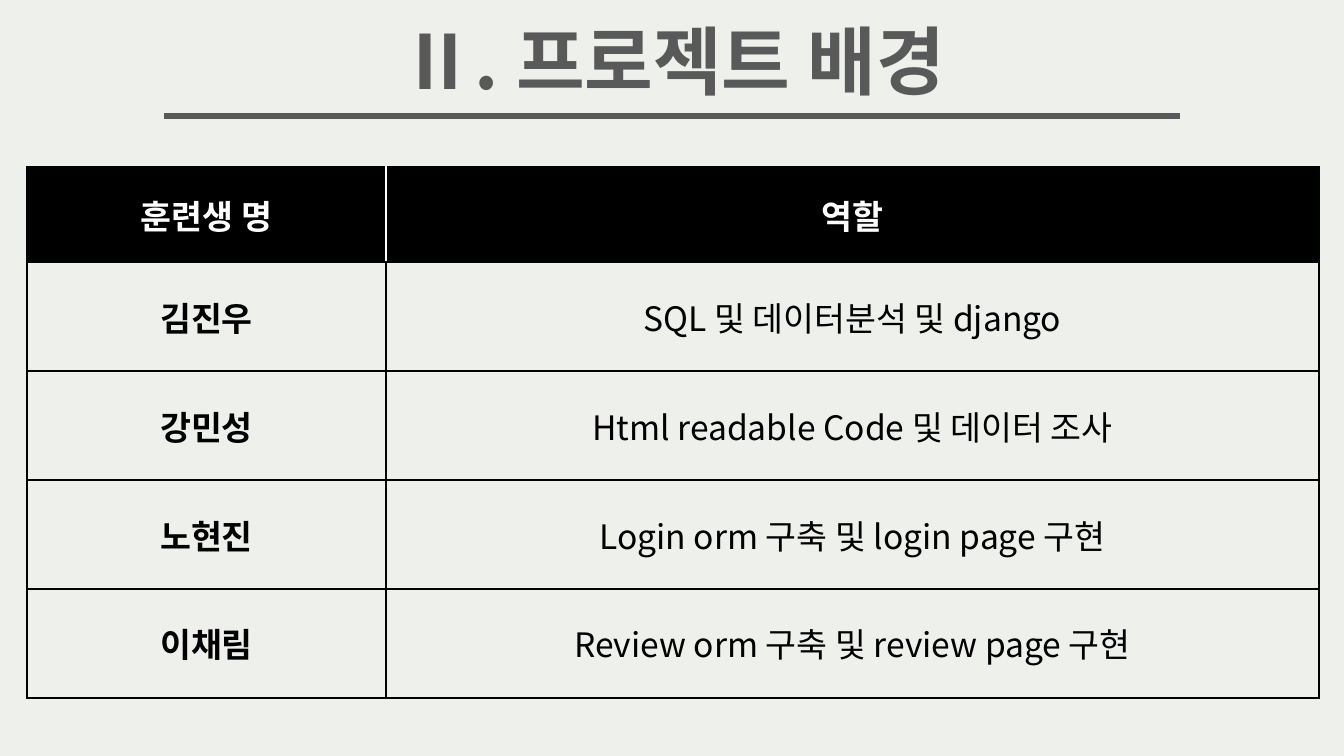
import pptx
import pptx.dml.color
import pptx.enum.shapes
import pptx.enum.text
import pptx.oxml.ns
import pptx.util
from lxml import etree

EMU_PER_PIXEL = 914400 / 134.4
FONT = "Noto Sans CJK KR"
PAPER, GRAY, BLACK, WHITE = "EEF0EC", "595959", "000000", "FFFFFF"


def px(pixels):
    return pptx.util.Emu(round(pixels * EMU_PER_PIXEL))


def color(hex_value):
    return pptx.dml.color.RGBColor.from_string(hex_value)


def add_xml(parent, tag, **attributes):
    return etree.SubElement(parent, pptx.oxml.ns.qn(tag), attributes)


class SlideBuilder:
    def __init__(self, slide):
        self.slide = slide
        slide.background.fill.solid()
        slide.background.fill.fore_color.rgb = color(PAPER)

    def set_text(self, frame, text, size, hex_value, bold):
        paragraph = frame.paragraphs[0]
        paragraph.text = text
        paragraph.alignment = pptx.enum.text.PP_ALIGN.CENTER
        font = paragraph.font
        font.size, font.bold, font.name = pptx.util.Pt(size), bold, FONT
        font.color.rgb = color(hex_value)
        # Korean glyphs take the East Asian typeface
        properties = paragraph._p.pPr.find(pptx.oxml.ns.qn("a:defRPr"))
        add_xml(properties, "a:ea", typeface=FONT)

    def title(self, text, left, top, width, height):
        box = self.slide.shapes.add_textbox(px(left), px(top), px(width), px(height))
        box.text_frame.word_wrap = True
        box.text_frame.auto_size = pptx.enum.text.MSO_AUTO_SIZE.SHAPE_TO_FIT_TEXT
        self.set_text(box.text_frame, text, 40, GRAY, True)

    def rule(self, left, right, y):
        line = self.slide.shapes.add_connector(
            pptx.enum.shapes.MSO_CONNECTOR.STRAIGHT, px(left), px(y), px(right), px(y))
        line.line.color.rgb = color(GRAY)
        line.line.width = pptx.util.Pt(3)
        add_xml(line._element.spPr, "a:effectLst")

    def borders(self, cell, left, right):
        properties = cell._tc.get_or_add_tcPr()
        sides = {"a:lnL": left, "a:lnR": right, "a:lnT": BLACK, "a:lnB": BLACK}
        for index, (tag, hex_value) in enumerate(sides.items()):
            border = add_xml(properties, tag, w=str(pptx.util.Pt(1)))
            add_xml(add_xml(border, "a:solidFill"), "a:srgbClr", val=hex_value)
            properties.insert(index, border)

    def table(self, rows, left, top, widths, heights):
        table = self.slide.shapes.add_table(
            len(rows), len(widths), px(left), px(top),
            px(sum(widths)), px(sum(heights))).table
        for column, width in zip(table.columns, widths):
            column.width = px(width)
        for row_index, (row, height) in enumerate(zip(rows, heights)):
            table.rows[row_index].height = px(height)
            header = row_index == 0
            divider = WHITE if header else BLACK
            for column_index, text in enumerate(row):
                cell = table.cell(row_index, column_index)
                cell.vertical_anchor = pptx.enum.text.MSO_ANCHOR.MIDDLE
                first = column_index == 0
                if header:
                    cell.fill.solid()
                    cell.fill.fore_color.rgb = color(BLACK)
                else:
                    cell.fill.background()
                self.set_text(cell.text_frame, text, 18,
                              WHITE if header else BLACK, header or first)
                self.borders(cell, BLACK if first else divider,
                             divider if first else BLACK)


presentation = pptx.Presentation()
presentation.slide_width, presentation.slide_height = px(1344), px(756)
builder = SlideBuilder(presentation.slides.add_slide(presentation.slide_layouts[6]))

# Heading
builder.rule(164, 1180, 116)
builder.title("Ⅱ. 프로젝트 배경", 159, 8, 1027, 103)

# Trainees and their roles
roles = [
    ("훈련생 명", "역할"),
    ("김진우", "SQL 및 데이터분석 및 django"),
    ("강민성", "Html readable Code 및 데이터 조사"),
    ("노현진", "Login orm 구축 및 login page 구현"),
    ("이채림", "Review orm 구축 및 review page 구현"),
]
builder.table(roles, 27, 167, [359, 933], [95] + [109] * 4)

presentation.save("out.pptx")
